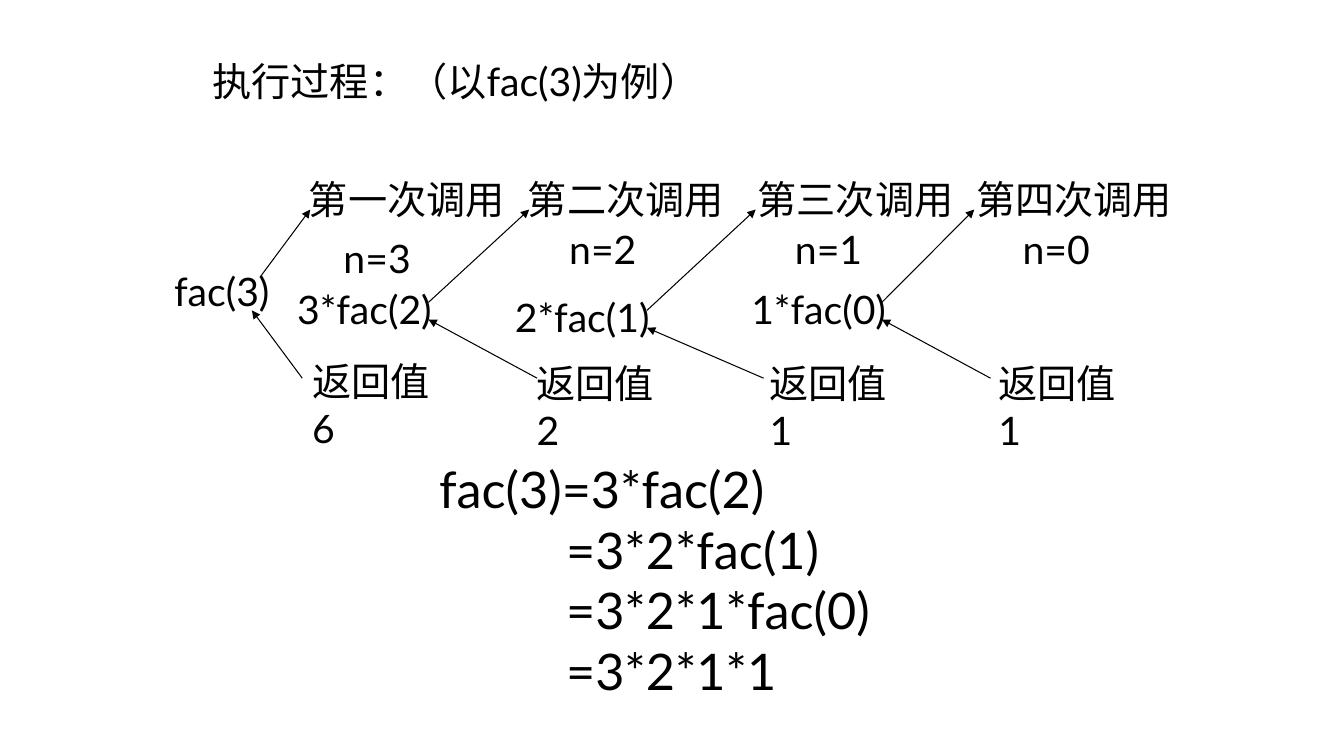
from lxml.etree import SubElement
from pptx import Presentation
from pptx.dml.color import RGBColor
from pptx.enum.shapes import MSO_CONNECTOR
from pptx.enum.text import MSO_AUTO_SIZE
from pptx.oxml.ns import qn
from pptx.util import Cm, Pt

BLACK = "000000"

presentation = Presentation()
presentation.slide_width = Cm(33.88)
presentation.slide_height = Cm(19.05)
slide = presentation.slides.add_slide(presentation.slide_layouts[6])


def add_text(text, left, top, width, height=1.45, size=28, wrap=False, indent=0):
    """Add a text box; every line after the first is indented by `indent` cm."""
    shape = slide.shapes.add_textbox(Cm(left), Cm(top), Cm(width), Cm(height))
    frame = shape.text_frame
    frame.word_wrap = wrap
    frame.auto_size = MSO_AUTO_SIZE.SHAPE_TO_FIT_TEXT
    frame.text = text
    for number, paragraph in enumerate(frame.paragraphs):
        if indent and number:
            paragraph._p.get_or_add_pPr().set("marL", str(Cm(indent)))
        paragraph.font.name = "Lato"
        paragraph.font.size = Pt(size)
        paragraph.font.color.rgb = RGBColor.from_string(BLACK)


def add_arrow(start, end):
    arrow = slide.shapes.add_connector(
        MSO_CONNECTOR.STRAIGHT, *(Cm(value) for value in start + end))
    arrow.line.width = Pt(0.75)
    arrow.line.color.rgb = RGBColor.from_string(BLACK)
    SubElement(arrow.line._get_or_add_ln(), qn("a:tailEnd"), type="triangle")
    SubElement(arrow._element.spPr, qn("a:effectLst"))


add_text("执行过程：（以fac(3)为例）", 5.11, 1.32, 13.36)
add_text("fac(3)", 4.14, 6.6, 3.02)

# Each call: ordinal, its left; n, left, top; returned value, left, top
calls = [
    ("一", 7.54, 3, 8.41, 5.79, 6, 7.62, 8.89),
    ("二", 13.06, 2, 14.1, 5.56, 2, 13.28, 8.94),
    ("三", 18.85, 1, 19.79, 5.56, 1, 19.15, 8.94),
    ("四", 24.36, 0, 25.53, 5.56, 1, 24.92, 8.94),
]
for ordinal, call_left, n, n_left, n_top, value, value_left, value_top in calls:
    add_text(f"第{ordinal}次调用", call_left, 4.29, 5.44)
    add_text(f"n={n}", n_left, n_top, 2.24)
    add_text(f"返回值\v{value}", value_left, value_top, 4.25, 2.64, wrap=True)

for n, left, top in [(3, 7.24, 7.06), (2, 12.73, 7.26), (1, 18.69, 7.06)]:
    add_text(f"{n}*fac({n - 1})", left, top, 4.25)

# Each step: call arrow start, call arrow end x, return arrow start x, return arrow end
steps = [
    ((6.55, 6.99), 7.82, 7.62, (6.35, 7.82)),
    ((10.8, 7.62), 13.34, 13.54, (10.8, 8.05)),
    ((16.31, 7.82), 19.05, 19.25, (16.31, 8.26)),
    ((22.23, 7.62), 24.56, 24.97, (22.23, 8.05)),
]
for call_start, call_end_x, return_start_x, return_end in steps:
    add_arrow(call_start, (call_end_x, 5.28))
    add_arrow((return_start_x, 9.53), return_end)

expansion = ["fac(3)=3*fac(2)", "=3*2*fac(1)", "=3*2*1*fac(0)", "=3*2*1*1"]
add_text("\n".join(expansion), 10.82, 11.43, 12.07, 6.35, size=36, wrap=True, indent=3.2)

presentation.save("out.pptx")
